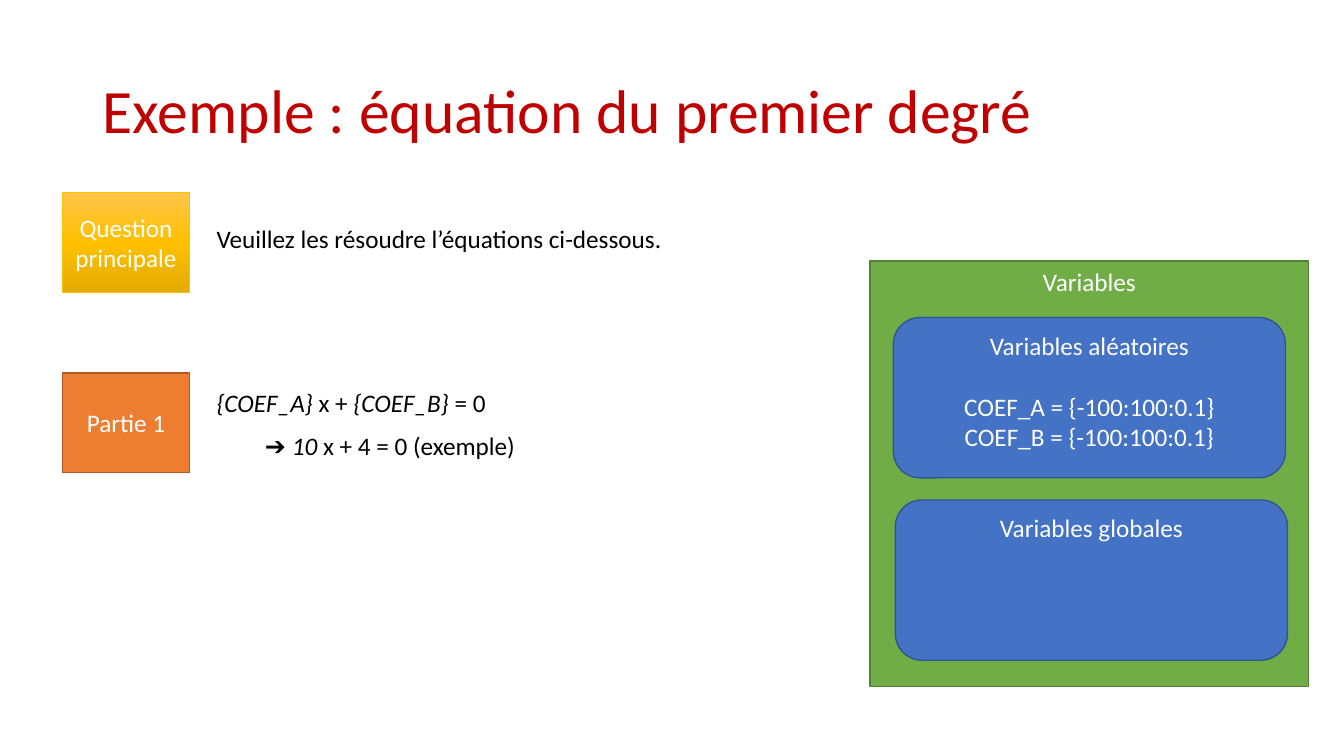
from copy import deepcopy
from dataclasses import dataclass

from pptx import Presentation
from pptx.dml.color import RGBColor
from pptx.enum.shapes import MSO_SHAPE
from pptx.enum.text import MSO_ANCHOR, PP_ALIGN
from pptx.util import Inches, Pt


@dataclass(frozen=True)
class Theme:
    """Font, type sizes and colours of the slide."""
    font: str = "Calibri"
    title_size: int = 44
    body_size: int = 18
    blank_line: int = 22
    title: str = "C00000"
    dark: str = "000000"
    light: str = "FFFFFF"
    gold: tuple = ("FFC64B", "FFC000", "E3AB00")
    gold_line: str = "FFC000"
    orange: str = "ED7D31"
    orange_line: str = "AF5C24"
    green: str = "70AD47"
    green_line: str = "538035"
    blue: str = "4472C4"
    blue_line: str = "325491"


T = Theme()

# Each paragraph is a list of (text, italic) runs.
TITLE = [[("Exemple : équation du premier degré", False)]]
LABELS = [
    ("Question principale", 1.91, T.gold, T.gold_line, 0.5),
    ("Partie 1", 3.7, T.orange, T.orange_line, 1),
]
STATEMENTS = [
    ((2.05, 2.17, 4.73, 0.71),
     [("Veuillez les résoudre l’équations ci-dessous.", False)]),
    ((2.05, 3.79, 2.9, 0.4),
     [("{COEF_A}", True), (" x + ", False), ("{COEF_B}", True), (" = 0", False)]),
    ((2.53, 4.22, 2.77, 0.4),
     [("➔ 10 ", True), ("x + 4 = 0 (exemple)", False)]),
]
PANEL = ("Variables", (8.63, 2.59, 4.35, 4.22))
VARIABLE_BOXES = [
    (8.86, 3.15, [[("Variables aléatoires", False)],
                  [("COEF_A = {-100:100:0.1}\nCOEF_B = {-100:100:0.1}", False)]]),
    (8.88, 4.96, [[("Variables globales", False)]]),
]
LABEL_LEFT, LABEL_SIZE = 0.62, (1.26, 0.99)
BOX_SIZE = (3.89, 1.59)


def write(tf, paragraphs, size=T.body_size, color=T.dark, align=PP_ALIGN.LEFT,
          anchor=MSO_ANCHOR.TOP, wrap=True, line_spacing=1.0, gap=0):
    """Fill a text frame with formatted paragraphs, gap points apart."""
    tf.word_wrap = wrap
    tf.vertical_anchor = anchor
    for i, runs in enumerate(paragraphs):
        p = tf.add_paragraph() if i else tf.paragraphs[0]
        p.alignment = align
        p.line_spacing = line_spacing
        p.space_before = Pt(gap if i else 0)
        for text, italic in runs:
            for j, line in enumerate(text.split("\n")):
                if j:
                    p.add_line_break()
                r = p.add_run()
                r.text = line
                r.font.name = T.font
                r.font.size = Pt(size)
                r.font.italic = italic
                r.font.color.rgb = RGBColor.from_string(color)


def fill_gradient(fill, colors):
    """Fill from top to bottom with three evenly spaced colours."""
    fill.gradient()
    fill.gradient_angle = 270
    last = fill.gradient_stops[1]._gs
    last.addprevious(deepcopy(last))
    for i, (stop, color) in enumerate(zip(fill.gradient_stops, colors)):
        stop.position = i / (len(colors) - 1)
        stop.color.rgb = RGBColor.from_string(color)


def add_box(shapes, kind, at, paragraphs, fill, line, width=1, **text_format):
    """Add a filled, outlined shape with centred light text."""
    sp = shapes.add_shape(kind, *map(Inches, at))
    sp.shadow.inherit = False
    if isinstance(fill, tuple):
        fill_gradient(sp.fill, fill)
    else:
        sp.fill.solid()
        sp.fill.fore_color.rgb = RGBColor.from_string(fill)
    sp.line.color.rgb = RGBColor.from_string(line)
    sp.line.width = Pt(width)
    write(sp.text_frame, paragraphs, color=T.light, align=PP_ALIGN.CENTER, **text_format)


prs = Presentation()
prs.slide_width, prs.slide_height = Inches(13.33), Inches(7.5)
s = prs.slides.add_slide(prs.slide_layouts[5])

title = s.shapes.title
title.left, title.top, title.width, title.height = map(Inches, (0.92, 0.4, 11.5, 1.45))
write(title.text_frame, TITLE, size=T.title_size, color=T.title,
      anchor=MSO_ANCHOR.MIDDLE, line_spacing=0.9)

for text, top, fill, line, width in LABELS:
    add_box(s.shapes, MSO_SHAPE.RECTANGLE, (LABEL_LEFT, top, *LABEL_SIZE),
            [[(text, False)]], fill, line, width, anchor=MSO_ANCHOR.MIDDLE)

group = s.shapes.add_group_shape()
heading, panel_at = PANEL
add_box(group.shapes, MSO_SHAPE.RECTANGLE, panel_at, [[(heading, False)]],
        T.green, T.green_line)
for left, top, paragraphs in VARIABLE_BOXES:
    add_box(group.shapes, MSO_SHAPE.ROUNDED_RECTANGLE, (left, top, *BOX_SIZE),
            paragraphs, T.blue, T.blue_line, gap=T.blank_line)

for at, runs in STATEMENTS:
    tb = s.shapes.add_textbox(*map(Inches, at))
    write(tb.text_frame, [runs], wrap=False)

prs.save("out.pptx")
